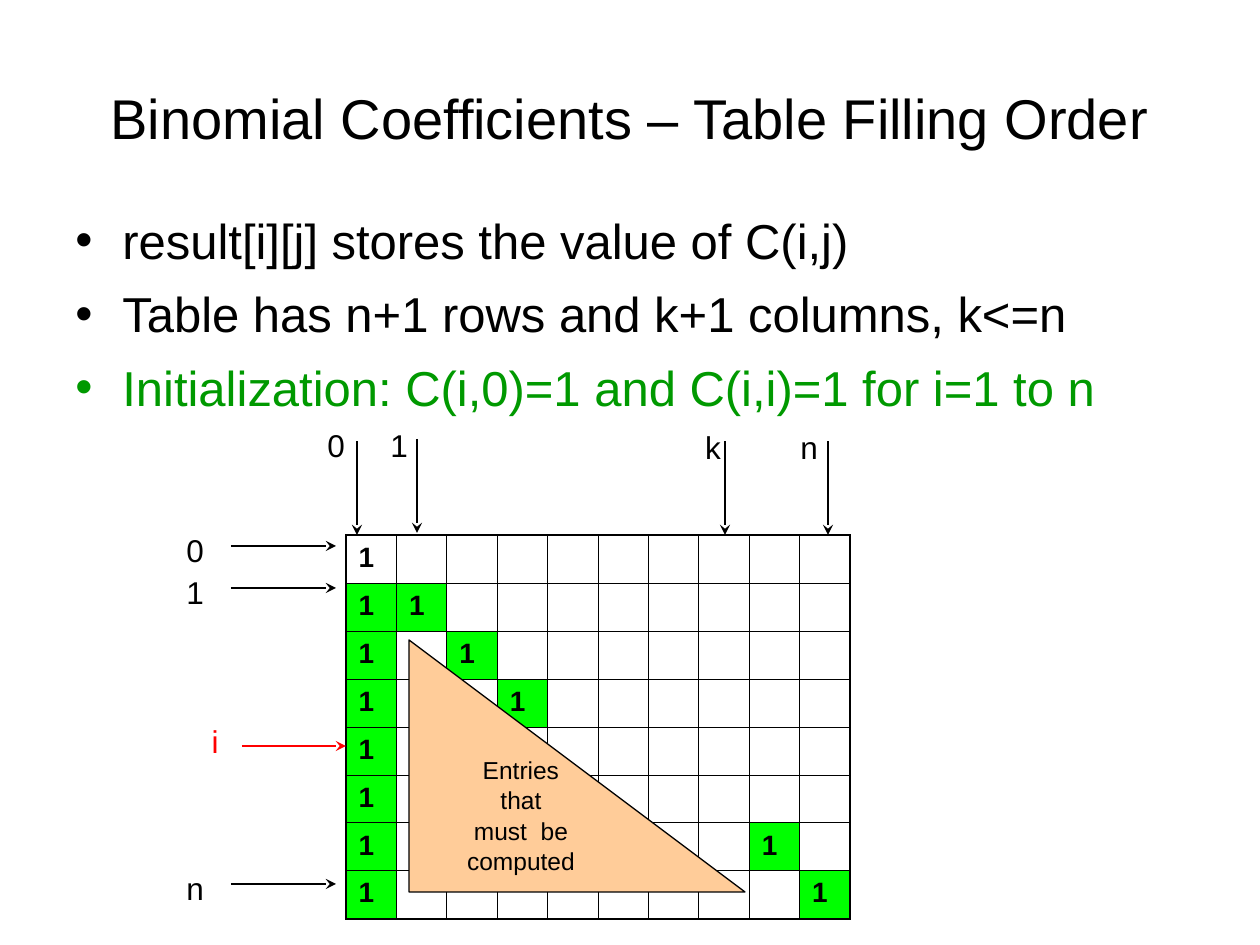
"""Build the slide on the filling order of the binomial coefficient table."""
from lxml.etree import SubElement as Sub
from pptx import Presentation
from pptx.dml.color import RGBColor
from pptx.enum.shapes import MSO_CONNECTOR as Conn, MSO_SHAPE as Shape
from pptx.enum.text import MSO_ANCHOR as Anchor, PP_ALIGN as Align
from pptx.oxml.ns import qn
from pptx.util import Pt

PX = 914400 / 126
BLACK, WHITE, RED = "000000", "FFFFFF", "FF0000"
LIME, GREEN, PEACH = "00FF00", "009900", "FFCC99"

TITLE = "Binomial Coefficients – Table Filling Order"
POINTS = [
    ("result[i][j] stores the value of C(i,j)", BLACK),
    ("Table has n+1 rows and k+1 columns, k<=n", BLACK),
    ("Initialization: C(i,0)=1 and C(i,i)=1 for i=1 to n", GREEN),
]
NOTE = ["Entries", "that", "must  be", "computed"]
ROWS, COLS = 8, 10
LEFT, TOP, WIDE, HIGH = 346, 535, 504, 384
DIAG = {(1, 1), (2, 2), (3, 3), (6, 8), (7, 9)}
LABELS = [
    ("0", (315, 420), (357, 441), (357, 535), BLACK),
    ("1", (378, 420), (417, 439), (417, 533), BLACK),
    ("k", (692, 422), (725, 441), (725, 535), BLACK),
    ("n", (788, 422), (828, 441), (828, 535), BLACK),
    ("0", (174, 525), (231, 546), (336, 546), BLACK),
    ("1", (174, 567), (231, 588), (336, 588), BLACK),
    ("i", (194, 716), (242, 746), (346, 746), RED),
    ("n", (174, 863), (231, 884), (336, 884), BLACK),
]


def px(*vals):
    return [round(v * PX) for v in vals]


def rgb(code):
    return RGBColor.from_string(code)


def write(frame, lines, size=18, color=BLACK, bold=False, align=Align.LEFT,
          gap=0, lead=None):
    for n, line in enumerate(lines):
        para = frame.paragraphs[0] if n == 0 else frame.add_paragraph()
        para.alignment = align
        para.line_spacing = lead
        if n:
            para.space_before = Pt(gap)
        text, tint = line if isinstance(line, tuple) else (line, color)
        run = para.add_run()
        run.text = text
        font = run.font
        font.name, font.size, font.bold = "Arial", Pt(size), bold
        font.color.rgb = rgb(tint)


def bullet(para, color):
    props = para._p.get_or_add_pPr()
    hang = px(47)[0]
    props.set("marL", str(hang))
    props.set("indent", str(-hang))
    Sub(Sub(props, qn("a:buClr")), qn("a:srgbClr"), val=color)
    Sub(props, qn("a:buFont"), typeface="Arial")
    Sub(props, qn("a:buChar"), char="•")


def border(cell, row, col):
    props = cell._tc.get_or_add_tcPr()
    outer = {"L": col == 0, "R": col == COLS - 1,
             "T": row == 0, "B": row == ROWS - 1}
    for side, edge in outer.items():
        width = Pt(1.08 if edge else 0.45)
        line = Sub(props, qn("a:ln" + side), w=str(width))
        Sub(Sub(line, qn("a:solidFill")), qn("a:srgbClr"), val=BLACK)


def grid(shapes):
    table = shapes.add_table(ROWS, COLS, *px(LEFT, TOP, WIDE, HIGH)).table
    table.first_row = table.horz_banding = False
    for col in table.columns:
        col.width = px(WIDE / COLS)[0]
    for r, row in enumerate(table.rows):
        row.height = px(HIGH / ROWS)[0]
        for c, cell in enumerate(row.cells):
            cell.margin_top, cell.margin_bottom = px(7, 0)
            border(cell, r, c)
            start = c == 0 or (r, c) in DIAG
            cell.fill.solid()
            cell.fill.fore_color.rgb = rgb(LIME if start and r else WHITE)
            if start:
                write(cell.text_frame, ["1"], size=16, bold=True)


def arrow(shapes, start, end, color):
    line = shapes.add_connector(Conn.STRAIGHT, *px(*start, *end))
    line.line.color.rgb = rgb(color)
    line.line.width = Pt(0.75)
    Sub(line.line._get_or_add_ln(), qn("a:tailEnd"), type="stealth")
    Sub(line._element.spPr, qn("a:effectLst"))


def label(shapes, text, spot, color):
    frame = shapes.add_textbox(*px(*spot, 42, 50)).text_frame
    frame.word_wrap = False
    write(frame, [text], color=color, align=Align.CENTER)


def main():
    deck = Presentation()
    deck.slide_width, deck.slide_height = px(1260, 945)
    slide = deck.slides.add_slide(deck.slide_layouts[5])
    shapes = slide.shapes

    title = shapes.title
    title.left, title.top, title.width, title.height = px(63, 38, 1134, 158)
    title.text_frame.vertical_anchor = Anchor.MIDDLE
    write(title.text_frame, [TITLE], size=32, align=Align.CENTER)

    body = shapes.add_textbox(*px(63, 204, 1113, 247)).text_frame
    body.word_wrap = True
    write(body, POINTS, size=28, gap=8.5)
    for para, (_, color) in zip(body.paragraphs, POINTS):
        bullet(para, color)

    grid(shapes)
    for text, spot, start, end, color in LABELS:
        arrow(shapes, start, end, color)
        label(shapes, text, spot, color)

    area = shapes.add_shape(Shape.RIGHT_TRIANGLE, *px(409, 640, 336, 252))
    area.shadow.inherit = False
    area.fill.solid()
    area.fill.fore_color.rgb = rgb(PEACH)
    area.line.color.rgb = rgb(BLACK)
    area.line.width = Pt(0.75)
    frame = area.text_frame
    frame.word_wrap = False
    frame.vertical_anchor = Anchor.MIDDLE
    frame.margin_bottom = px(35)[0]
    write(frame, NOTE, size=14, align=Align.CENTER, lead=1.04)

    deck.save("out.pptx")


if __name__ == "__main__":
    main()
